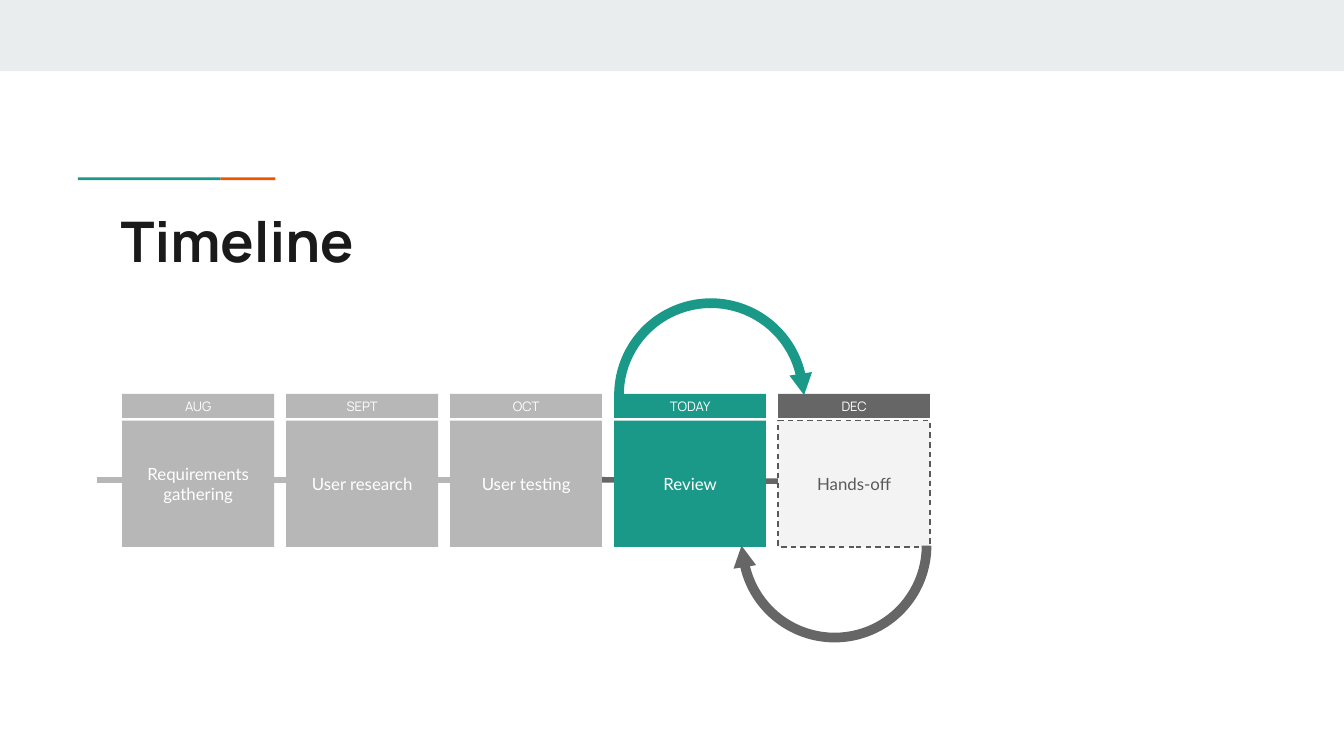
from lxml import etree
from pptx import Presentation, util as u
from pptx.dml.color import RGBColor
from pptx.enum import dml, shapes, text
from pptx.oxml.ns import qn

WIDTH = 10
HEIGHT = WIDTH * 9 / 16
LEFT, TOP = 0.91, 2.93
CARD_WIDTH, PITCH = 1.13, 1.22
HEADER_HEIGHT, BODY_OFFSET, BODY_HEIGHT = 0.18, 0.2, 0.94
CARD_HEIGHT = BODY_OFFSET + BODY_HEIGHT
LOOP_SIZE = 1.44

TEAL = RGBColor(0x1A, 0x99, 0x88)
ORANGE = RGBColor(0xEB, 0x56, 0x00)
MIST = RGBColor(0xE9, 0xED, 0xEE)
PAST = RGBColor(0xB7, 0xB7, 0xB7)
DARK = RGBColor(0x66, 0x66, 0x66)
PALE = RGBColor(0xF3, 0xF3, 0xF3)
INK = RGBColor(0x59, 0x59, 0x59)
BLACK = RGBColor(0x1A, 0x1A, 0x1A)
WHITE = RGBColor(0xFF, 0xFF, 0xFF)

STEPS = [
    ("AUG", "Requirements gathering", PAST, PAST, WHITE),
    ("SEPT", "User research", PAST, PAST, WHITE),
    ("OCT", "User testing", PAST, PAST, WHITE),
    ("TODAY", "Review", TEAL, TEAL, WHITE),
    ("DEC", "Hands-off", DARK, PALE, INK),
]


def column(index):
    return LEFT + index * PITCH


def add_block(slide, box, color, preset=shapes.MSO_SHAPE.RECTANGLE):
    block = slide.shapes.add_shape(preset, *map(u.Inches, box))
    block.shadow.inherit = False
    block.fill.solid()
    block.fill.fore_color.rgb = color
    block.line.fill.background()
    return block


def write(holder, words, font_name, size, color, bold=False):
    frame = holder.text_frame
    frame.text = words
    frame.word_wrap = True
    frame.margin_left = frame.margin_right = u.Inches(0.1)
    frame.margin_top = frame.margin_bottom = u.Inches(0.1)
    font = frame.paragraphs[0].runs[0].font
    font.name, font.size, font.bold = font_name, u.Pt(size), bold
    font.color.rgb = color
    return frame


def add_label(block, words, font_name, size, color):
    frame = write(block, words, font_name, size, color)
    frame.vertical_anchor = text.MSO_ANCHOR.MIDDLE
    frame.paragraphs[0].alignment = text.PP_ALIGN.CENTER


def add_heading(slide, box):
    left, top, width, height = box
    add_block(slide, (0, 0, WIDTH, 0.53), MIST)
    add_block(slide, (left + 0.84, top - 0.12, 0.41, 0.02), ORANGE)
    add_block(slide, (left - 0.22, top - 0.12, 1.06, 0.02), TEAL)
    title = slide.shapes.add_textbox(*map(u.Inches, box))
    write(title, "Timeline", "Manrope", 30, BLACK, bold=True)


def add_track(slide, start, end, color):
    track = slide.shapes.add_connector(
        shapes.MSO_CONNECTOR.STRAIGHT, *map(u.Inches, start + end))
    track.line.color.rgb = color
    track.line.width = u.Pt(3)
    etree.SubElement(track._element.spPr, qn("a:effectLst"))


def add_step(slide, left, top, month, task, header_color, body_color, ink):
    body = add_block(
        slide, (left, top + BODY_OFFSET, CARD_WIDTH, BODY_HEIGHT), body_color)
    add_label(body, task, "Lato", 9, ink)
    if body_color == PALE:
        body.line.color.rgb = INK
        body.line.width = u.Pt(0.75)
        body.line.dash_style = dml.MSO_LINE.DASH
    header = add_block(slide, (left, top, CARD_WIDTH, HEADER_HEIGHT), header_color)
    add_label(header, month, "Manrope", 7, WHITE)


def add_loop(slide, center_x, center_y, color, turn):
    radius = LOOP_SIZE / 2
    arc = add_block(
        slide, (center_x - radius, center_y - radius, LOOP_SIZE, LOOP_SIZE),
        color, shapes.MSO_SHAPE.BLOCK_ARC)
    for index, value in enumerate((108, 211.46, 0.05)):
        arc.adjustments[index] = value
    arc.rotation = turn
    side = -1 if turn else 1
    tip_width, tip_height = 0.17, 0.16
    tip_x, tip_y = center_x + side * 0.68, center_y - side * 0.08
    tip = add_block(
        slide,
        (tip_x - tip_width / 2, tip_y - tip_height / 2, tip_width, tip_height),
        color, shapes.MSO_SHAPE.ISOSCELES_TRIANGLE)
    tip.rotation = 171.1 + turn


def add_timeline(slide, top):
    middle = top + 0.64
    add_track(slide, (column(3) - 0.12, middle),
              (column(4) + CARD_WIDTH, middle + 0.02), DARK)
    add_track(slide, (LEFT - 0.19, middle), (column(2) + 0.89, middle), PAST)
    for index, step in enumerate(STEPS):
        add_step(slide, column(index), top, *step)
    radius = LOOP_SIZE / 2
    add_loop(slide, column(3) + radius, top + 0.01, TEAL, 0)
    add_loop(slide, column(4) + CARD_WIDTH + 0.01 - radius,
             top + CARD_HEIGHT - 0.01, DARK, 180)


def main():
    deck = Presentation()
    deck.slide_width, deck.slide_height = u.Inches(WIDTH), u.Inches(HEIGHT)
    slide = deck.slides.add_slide(deck.slide_layouts[6])
    add_heading(slide, (0.8, 1.44, 8.41, 0.59))
    add_timeline(slide, TOP)
    deck.save("out.pptx")


if __name__ == "__main__":
    main()
